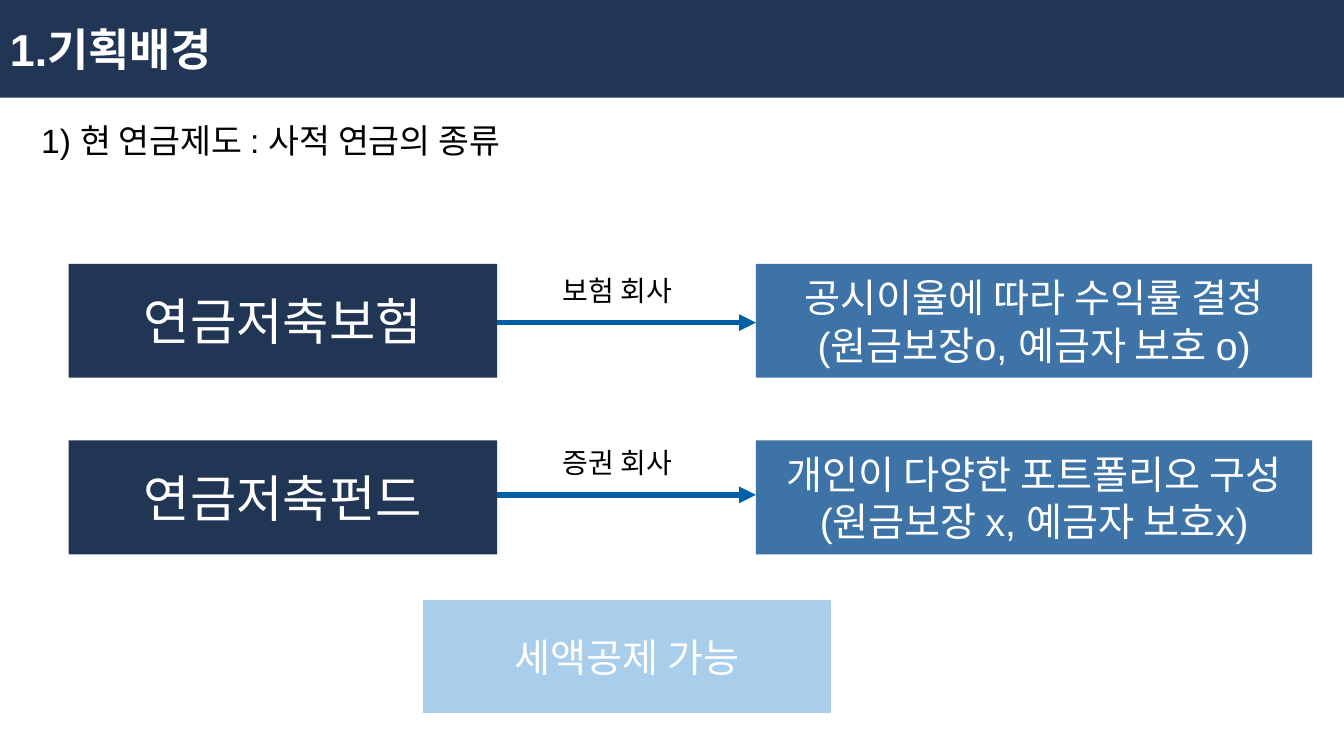
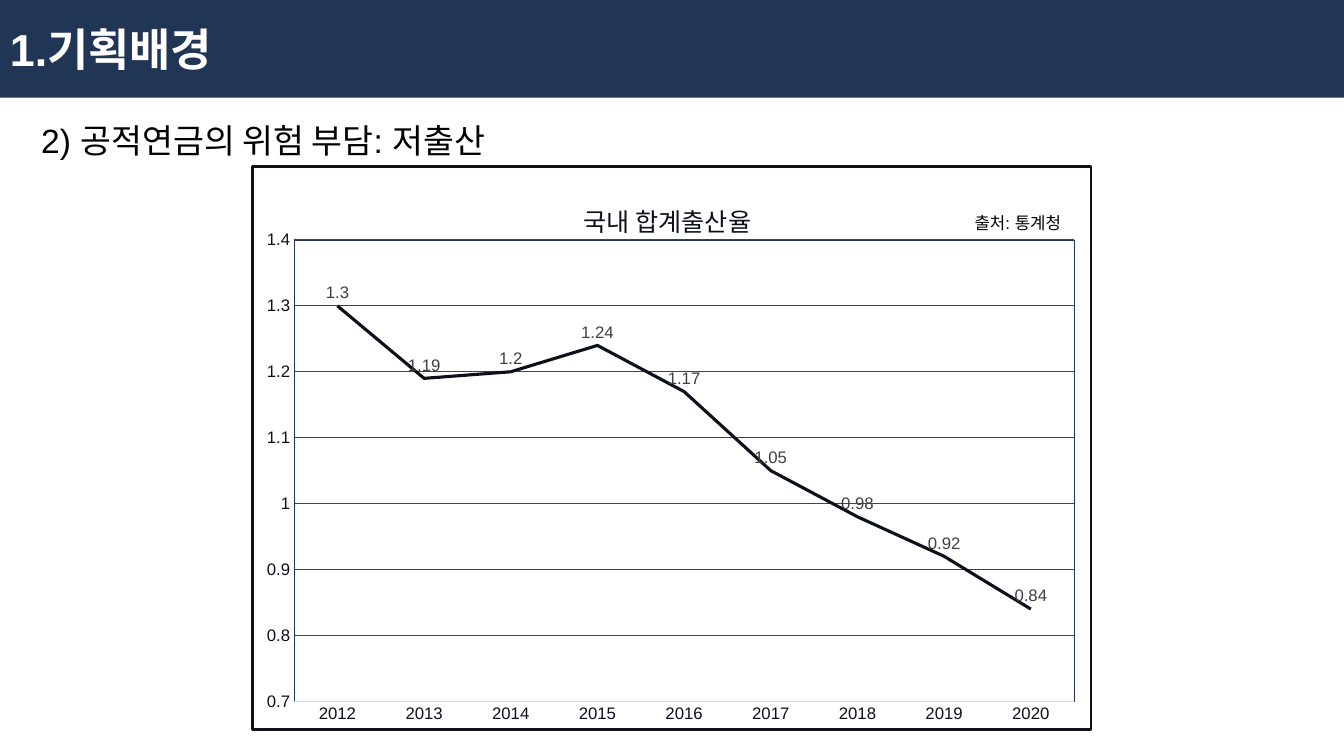
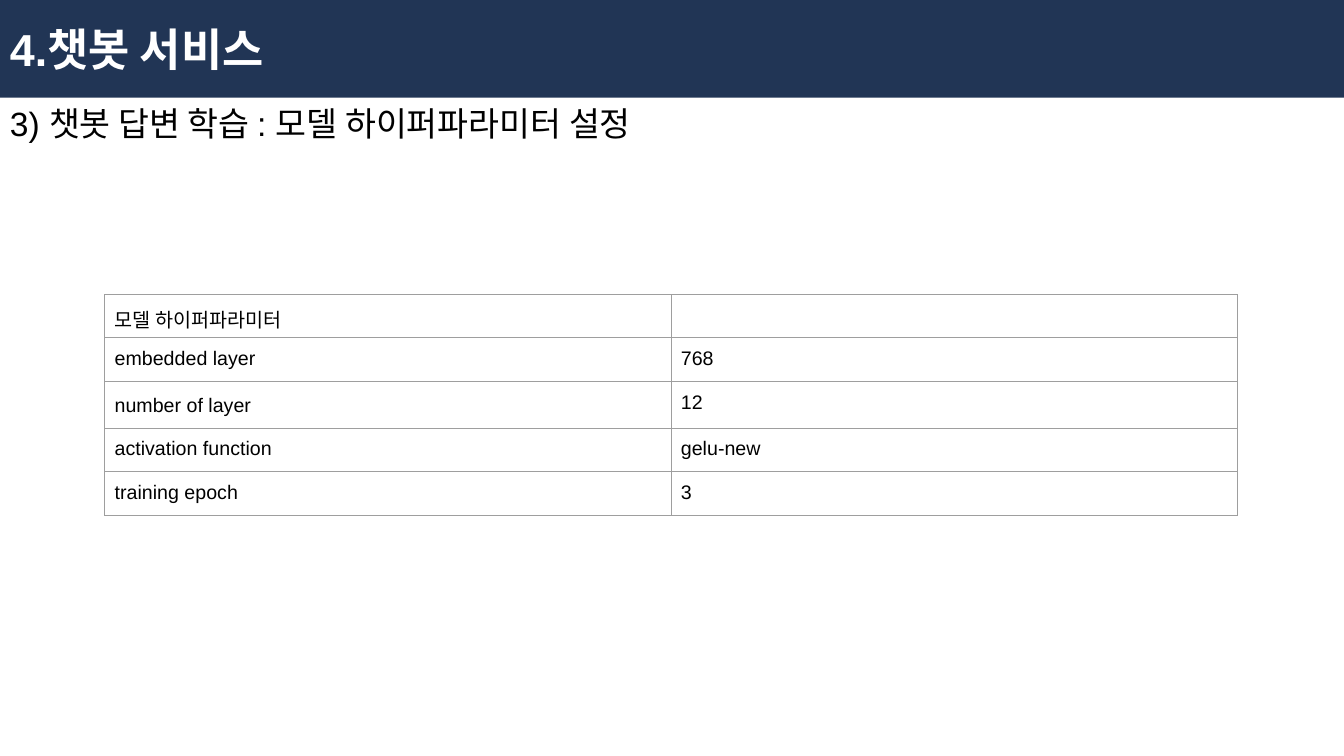
import pptx
import pptx.chart.data
import pptx.dml.color
import pptx.enum.chart
import pptx.enum.shapes
import pptx.enum.text
import pptx.oxml
import pptx.oxml.ns
import pptx.util
from pptx.util import Cm, Pt

NAVY, BLUE, SKY, ARROW = "213555", "3E73A8", "A9CEEB", "005FA5"
INK, GREY, GREEN, PALE, EDGE = "0D101C", "404040", "355313", "D9D9D9", "9E9E9E"
WHITE, BLACK = "FFFFFF", "000000"
FACE = "Arial"
WIDTH, HEIGHT, BAND = 33.87, 19.05, 2.46
CENTER = pptx.enum.text.PP_ALIGN.CENTER
LEFT = pptx.enum.text.PP_ALIGN.LEFT
qn = pptx.oxml.ns.qn


def color(code):
    return pptx.dml.color.RGBColor.from_string(code)


def xml(text):
    """Parse one element that uses the a: or c: prefix."""
    head, mark, tail = text.partition(">")
    close = "/" if head.endswith("/") else ""
    names = pptx.oxml.ns.nsdecls("a", "c")
    return pptx.oxml.parse_xml(f"{head.rstrip('/')} {names}{close}{mark}{tail}")


def style(font, size, code=BLACK, bold=False, face=FACE):
    font.name, font.size, font.bold = face, Pt(size), bold
    font.color.rgb = color(code)


def write(frame, text, size, code=BLACK, align=LEFT, bold=False):
    frame.word_wrap = True
    frame.text = text
    for para in frame.paragraphs:
        para.alignment = align
        style(para.font, size, code, bold)


def box(slide, place, fill, text, size, align=CENTER, bold=False):
    kind = pptx.enum.shapes.MSO_SHAPE.RECTANGLE
    shape = slide.shapes.add_shape(kind, *map(Cm, place))
    shape.shadow.inherit = False
    shape.fill.solid()
    shape.fill.fore_color.rgb = color(fill)
    shape.line.fill.background()
    shape.text_frame.vertical_anchor = pptx.enum.text.MSO_ANCHOR.MIDDLE
    write(shape.text_frame, text, size, WHITE, align, bold)
    return shape


def label(slide, place, text, size, align=LEFT):
    shape = slide.shapes.add_textbox(*map(Cm, place))
    write(shape.text_frame, text, size, align=align)


def arrow(slide, start, end, y):
    kind = pptx.enum.shapes.MSO_CONNECTOR.STRAIGHT
    line = slide.shapes.add_connector(kind, Cm(start), Cm(y), Cm(end), Cm(y))
    line.line.color.rgb = color(ARROW)
    line.line.width = Pt(4)
    props = line._element.spPr
    props.find(qn("a:ln")).append(xml('<a:tailEnd type="triangle"/>'))
    props.append(xml("<a:effectLst/>"))


def page(deck, title, topic, left=0.79, top=2.9):
    """Add a slide with the title band and its topic line."""
    slide = deck.slides.add_slide(deck.slide_layouts[6])
    box(slide, (0, 0, WIDTH, BAND), NAVY, title, 32, LEFT, True)
    label(slide, (left, top, 29, 1.27), topic, 24)
    return slide


def layout(parent, index, **sizes):
    """Fix the place of a chart part, as shares of the chart."""
    old = parent.find(qn("c:layout"))
    if old is not None:
        parent.remove(old)
    target = '<c:layoutTarget val="inner"/>' if "w" in sizes else ""
    modes = "".join(f'<c:{k}Mode val="edge"/>' for k in "xy")
    parts = "".join(f'<c:{k} val="{v}"/>' for k, v in sizes.items())
    parent.insert(index, xml(
        f"<c:layout><c:manualLayout>{target}{modes}{parts}"
        "</c:manualLayout></c:layout>"))


def border(code, width):
    return xml(
        f'<c:spPr><a:noFill/><a:ln w="{Pt(width)}"><a:solidFill>'
        f'<a:srgbClr val="{code}"/></a:solidFill></a:ln></c:spPr>')


def rule(line, code, width=0.75):
    line.color.rgb = color(code)
    line.width = Pt(width)


def graph(slide, place, title, years, rates):
    enum = pptx.enum.chart
    data = pptx.chart.data.CategoryChartData()
    data.categories = years
    data.add_series("Series 1", rates)
    chart = slide.shapes.add_chart(
        enum.XL_CHART_TYPE.LINE, *map(Cm, place), data).chart
    style(chart.font, 10)
    chart.has_legend = False

    chart.has_title = True
    head = chart.chart_title
    head.text_frame.text = title
    style(head.text_frame.paragraphs[0].font, 18, INK, face="Calibri")
    layout(head._element, 1, x=0.39, y=0.05)

    for axis, code in ((chart.category_axis, PALE), (chart.value_axis, NAVY)):
        style(axis.tick_labels.font, 12, INK)
        axis.major_tick_mark = enum.XL_TICK_MARK.NONE
        axis.minor_tick_mark = enum.XL_TICK_MARK.NONE
        rule(axis.format.line, code)
    axis = chart.value_axis
    axis.minimum_scale, axis.maximum_scale, axis.major_unit = 0.7, 1.4, 0.1
    axis.tick_labels.number_format = "General"
    axis.tick_labels.number_format_is_linked = False
    rule(axis.major_gridlines.format.line, GREEN)

    plot = chart.plots[0]
    plot.vary_by_categories = False
    series = plot.series[0]
    series.smooth = False
    series.marker.style = enum.XL_MARKER_STYLE.NONE
    rule(series.format.line, INK, 2.25)
    marks = series.data_labels
    marks.show_value = True
    marks.position = enum.XL_LABEL_POSITION.ABOVE
    style(marks.font, 12, GREY)

    root = chart._chartSpace
    area = root.chart.plotArea
    layout(area, 0, x=0.05, y=0.13, w=0.93, h=0.82)
    area.append(border(NAVY, 0.75))
    root.chart.addnext(border(INK, 2))


def outline(cell):
    props = cell._tc.get_or_add_tcPr()
    for n, side in enumerate("LRTB"):
        props.insert(n, xml(
            f'<a:ln{side} w="{Pt(0.75)}"><a:solidFill>'
            f'<a:srgbClr val="{EDGE}"/></a:solidFill></a:ln{side}>'))


def grid(slide, left, top, wide, high, rows):
    count = len(rows[0])
    table = slide.shapes.add_table(
        len(rows), count, Cm(left), Cm(top),
        Cm(wide * count), Cm(high * len(rows))).table
    table.first_row = table.horz_banding = False
    for r, row in enumerate(rows):
        table.rows[r].height = Cm(high)
        for c, text in enumerate(row):
            cell = table.cell(r, c)
            cell.margin_left = cell.margin_right = Cm(0.25)
            cell.margin_top = cell.margin_bottom = Cm(0.25)
            write(cell.text_frame, text, 14)
            cell.fill.background()
            outline(cell)
    return table


def kinds(deck):
    slide = page(deck, "1.기획배경", "1) 현 연금제도 : 사적 연금의 종류")
    left, wide, right, high = 1.73, 10.8, 19.05, 2.87
    rows = (
        (6.65, 8.13, "연금저축보험", "보험 회사",
         "공시이율에 따라 수익률 결정\n(원금보장o, 예금자 보호 o)"),
        (11.1, 12.47, "연금저축펀드", "증권 회사",
         "개인이 다양한 포트폴리오 구성\n(원금보장 x, 예금자 보호x)"),
    )
    for top, mid, name, firm, note in rows:
        box(slide, (left, top, wide, high), NAVY, name, 36)
        box(slide, (right, top, 14.02, high), BLUE, note, 28)
        arrow(slide, left + wide, right, mid)
        label(slide, (13.87, mid - 1.36, 3.38, 1.12), firm, 20, CENTER)
    credit = box(slide, (10.67, 15.14, 10.26, 2.82), SKY, "세액공제 가능", 28)
    rule(credit.line, SKY, 1)


def births(deck):
    slide = page(deck, "1.기획배경", "2) 공적연금의 위험 부담: 저출산")
    rates = (1.3, 1.19, 1.2, 1.24, 1.17, 1.05, 0.98, 0.92, 0.84)
    years = [str(2012 + n) for n in range(len(rates))]
    graph(slide, (6.32, 4.17, 21.21, 14.25), "국내 합계출산율", years, rates)
    label(slide, (24.31, 5.23, 3.99, 0.76), "출처: 통계청", 12)


def model(deck):
    slide = page(deck, "4.챗봇 서비스",
                 "3) 챗봇 답변 학습 : 모델 하이퍼파라미터 설정", 0, BAND)
    table = grid(slide, 2.64, 7.42, 14.27, 1.07, (
        ("모델 하이퍼파라미터", ""),
        ("embedded layer", "768"),
        ("number of layer", "12"),
        ("activation function", "gelu-new"),
        ("training epoch", "3"),
    ))
    para = table.cell(2, 0).text_frame.paragraphs[0]
    para.line_spacing, para.space_after = 1.15, Pt(6)


def main():
    deck = pptx.Presentation()
    deck.slide_width, deck.slide_height = Cm(WIDTH), Cm(HEIGHT)
    kinds(deck)
    births(deck)
    model(deck)
    deck.save("out.pptx")


if __name__ == "__main__":
    main()
